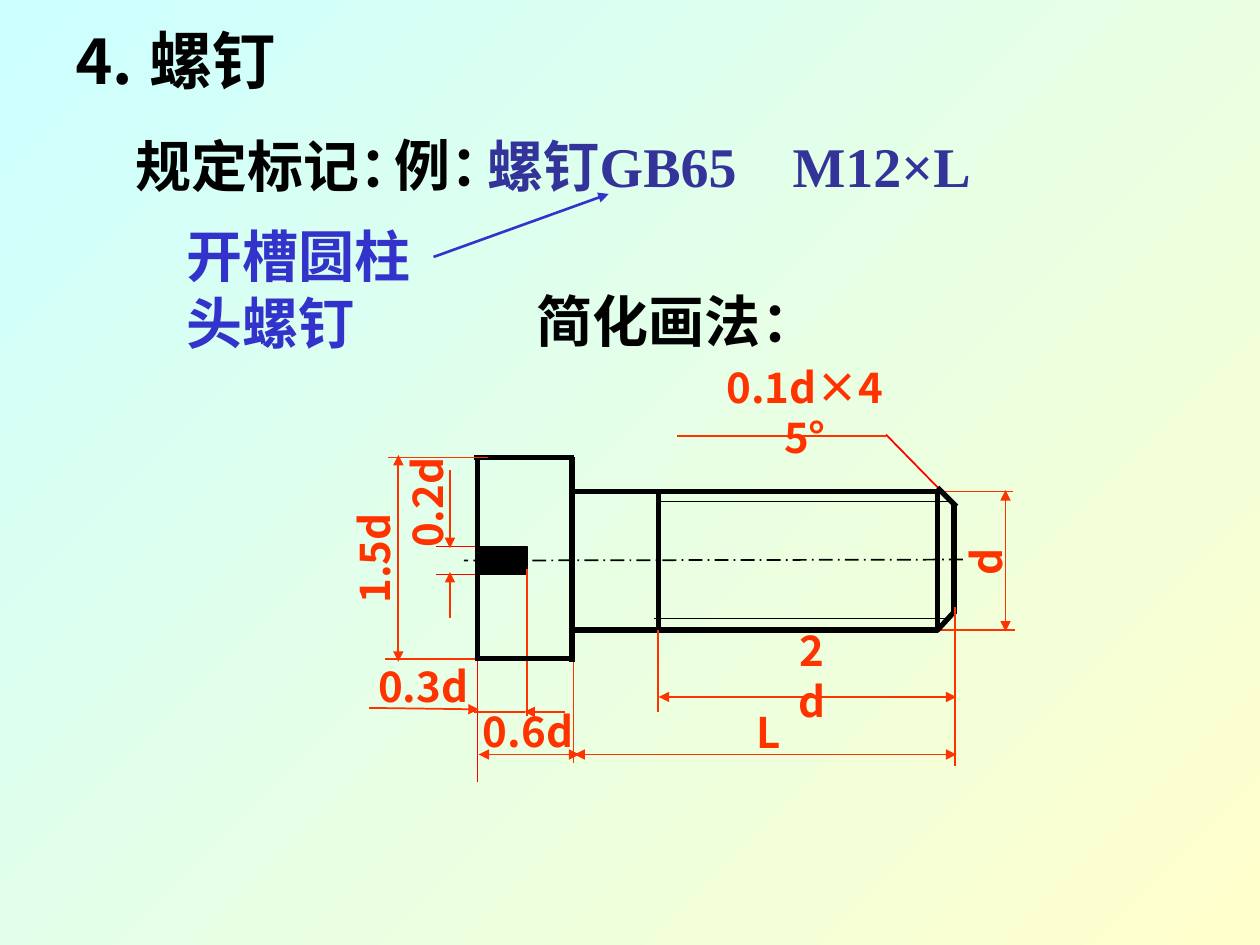
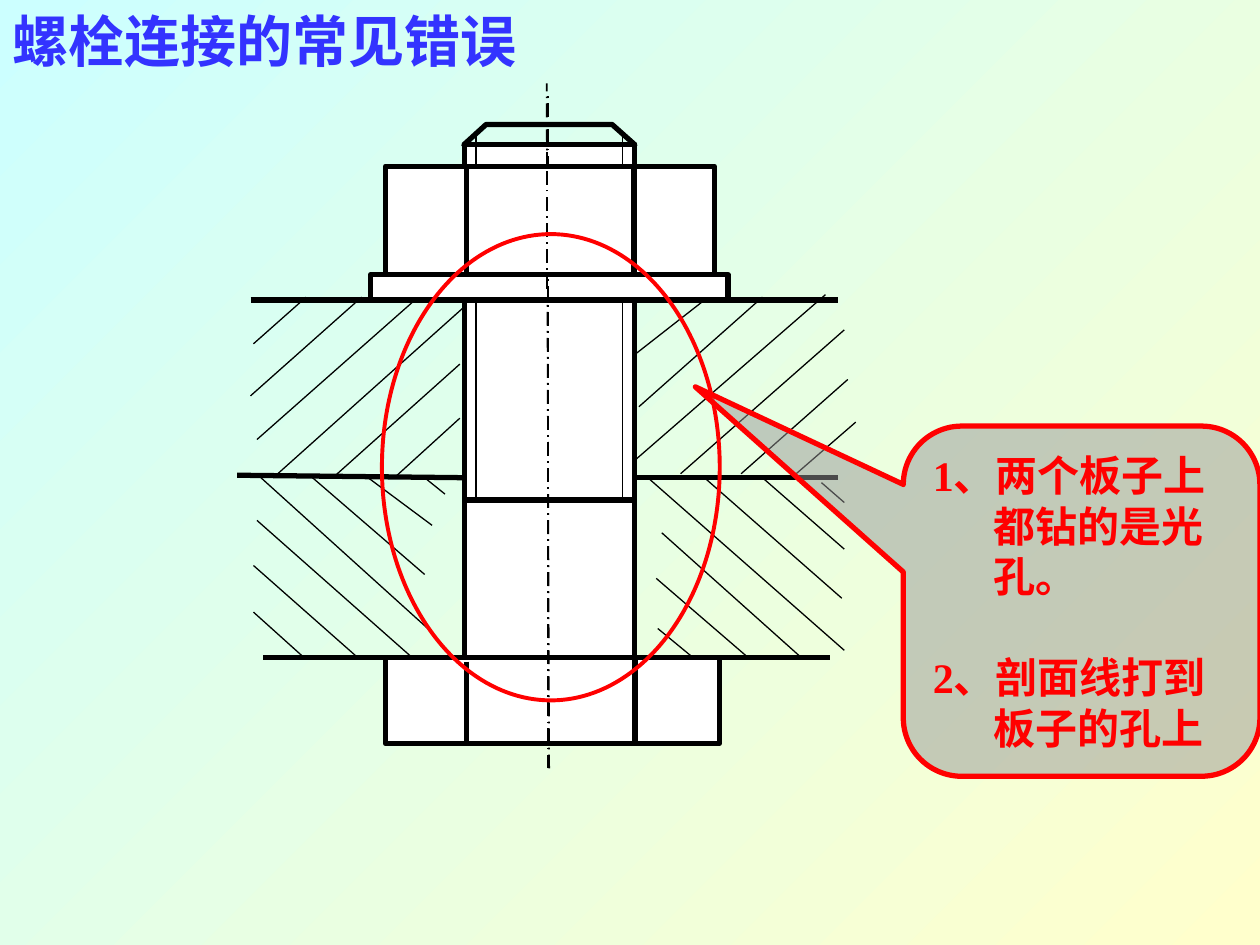
from lxml.etree import SubElement
from pptx import Presentation
from pptx.dml.color import RGBColor
from pptx.enum.dml import MSO_LINE
from pptx.enum.shapes import MSO_CONNECTOR, MSO_SHAPE as Shape
from pptx.enum.text import MSO_ANCHOR, MSO_AUTO_SIZE as Fit, PP_ALIGN as Align
from pptx.oxml.ns import qn
from pptx.util import Cm, Pt

SERIF, SANS = "Times New Roman", "Noto Sans CJK SC"
BLACK, WHITE, RED, DIM = "000000", "FFFFFF", "FF0000", "FF3300"
BACKGROUND = ("CCFFFF", "FFFFCC")

# Line styles: colour, width, dashed, arrow at start, arrow at end
LINES = {
    "thick": (BLACK, 3, False, False, False),
    "thin": (BLACK, 1, False, False, False),
    "hatch": (BLACK, 0.75, False, False, False),
    "axis": (BLACK, 1, True, False, False),
    "leader": (RED, 1, False, False, False),
    "fine": (RED, 0.75, False, False, False),
    "ext": (DIM, 1, False, False, False),
    "dim": (DIM, 1, False, True, True),
    "dim start": (DIM, 1, False, True, False),
    "dim end": (DIM, 1, False, False, True),
    "pointer": ("3333CC", 1.5, False, False, True),
}
# Box styles: preset, fill, line colour, line width
BOXES = {
    "body": (Shape.RECTANGLE, None, BLACK, 3),
    "part": (Shape.RECTANGLE, WHITE, BLACK, 3),
    "slot": (Shape.RECTANGLE, BLACK, BLACK, 1),
    "mark": (Shape.OVAL, None, RED, 2.25),
}

# Drawings are on a 10 x 7.5 grid, one unit being 2.54 cm.
# Lines: style, x1, y1, x2, y2.  Boxes: style, left, top, width, height.
SCREW = [
    ("leader", 7.57, 4, 7.03, 3.45),
    ("fine", 3.79, 4.56, 3.46, 4.56),
    ("fine", 3.79, 4.34, 3.46, 4.34),
    ("dim end", 3.57, 4.9, 3.57, 4.54),
    ("dim start", 3.57, 4.35, 3.57, 3.73),
    ("ext", 3.88, 5.23, 3.06, 5.23),
    ("dim", 3.16, 5.25, 3.16, 3.61),
    ("ext", 7.36, 5, 8.06, 5),
    ("ext", 7.43, 3.9, 8.04, 3.9),
    ("dim", 7.98, 5.01, 7.98, 3.89),
    ("thick", 5.23, 5, 5.23, 3.9),
    ("thin", 7.54, 4.91, 5.19, 4.91),
    ("thin", 7.54, 3.98, 5.22, 3.98),
    ("axis", 7.64, 4.44, 3.68, 4.45),
    ("slot", 3.79, 4.34, 0.39, 0.22),
    ("body", 4.54, 3.9, 2.9, 1.1),
    ("thick", 7.44, 5, 7.57, 4.86),
    ("thick", 7.57, 4.87, 7.57, 4),
    ("thick", 7.44, 3.87, 7.59, 4.02),
    ("ext", 4.18, 5.68, 4.18, 4.52),
    ("fine", 3.79, 6.21, 3.79, 5.15),
    ("ext", 4.55, 6.06, 4.55, 5.21),
    ("dim end", 2.93, 5.62, 3.8, 5.63),
    ("ext", 3.76, 5.65, 4.17, 5.65),
    ("dim", 3.8, 5.99, 4.6, 5.99),
    ("ext", 7.58, 6.08, 7.58, 4.82),
    ("dim", 4.56, 5.99, 7.59, 5.99),
    ("ext", 5.22, 5.65, 5.22, 5),
    ("dim", 5.23, 5.53, 7.59, 5.53),
    ("dim start", 4.16, 5.65, 4.48, 5.65),
    ("ext", 7.03, 3.46, 5.37, 3.46),
    ("thick", 4.54, 5.25, 4.54, 3.63),
    ("thick", 4.56, 3.63, 3.76, 3.63),
    ("thick", 4.54, 5.23, 3.77, 5.23),
    ("thick", 3.79, 5.23, 3.79, 3.63),
    ("ext", 3.87, 3.63, 3.08, 3.63),
    ("pointer", 3.44, 2.04, 4.83, 1.54),
]
# Dimension labels: text, left, top, width, rotation, wrap
DIM_LABELS = [
    ("0.2d", 2.91, 3.74, 0.95, 270, False),
    ("0.3d", 2.85, 5.19, 1.02, 0, False),
    ("1.5d", 2.23, 4.18, 1.47, 270, False),
    ("d", 7.62, 4.21, 0.41, 270, False),
    ("0.6d", 3.5, 5.55, 1.38, 0, False),
    ("L", 5.91, 5.56, 0.39, 0, False),
    ("2d", 6.14, 5.11, 0.6, 0, True),
    ("0.1d×45°", 5.59, 3.02, 1.6, 0, True),
]
# Headings: text, box, colour, alignment, wrap
HEADINGS = [
    ("规定标记：", (0.75, 0.99, 2.42, 0.64), BLACK, Align.CENTER, False),
    ("螺钉GB65\tM12×L", (3.77, 0.99, 4.3, 0.64), "333399", Align.LEFT, True),
    ("开槽圆柱头螺钉", (1.38, 1.71, 2.12, 1.17), "3333CC", Align.LEFT, True),
    ("简化画法：", (3.94, 2.22, 2.42, 0.64), BLACK, Align.CENTER, False),
    ("例：", (3.03, 0.98, 1.09, 0.64), BLACK, Align.CENTER, False),
]

PLATE_EDGES = [
    ("thick", 1.99, 2.38, 6.65, 2.38),
    ("thick", 2.09, 5.22, 6.59, 5.22),
    ("thick", 1.88, 3.77, 3.69, 3.79),
    ("thick", 5.04, 3.79, 6.65, 3.79),
]
HATCHING = [
    (2.01, 2.73, 2.43, 2.36), (1.99, 3.14, 2.87, 2.36),
    (2.04, 3.49, 3.32, 2.36), (2.17, 3.79, 3.67, 2.45),
    (2.64, 3.79, 3.65, 2.89), (3.13, 3.79, 3.65, 3.32),
    (5.03, 2.82, 5.59, 2.38), (5.07, 3.23, 6.05, 2.36),
    (5.02, 3.67, 6.55, 2.34), (5.4, 3.76, 6.7, 2.62),
    (5.88, 3.76, 6.73, 3.01), (6.32, 3.76, 6.79, 3.35),
    (3.37, 3.79, 3.53, 3.92), (2.92, 3.79, 3.43, 4.17),
    (2.48, 3.79, 3.37, 4.56), (2.07, 3.79, 3.42, 5.01),
    (2.04, 4.13, 3.26, 5.21), (2.01, 4.49, 2.82, 5.2),
    (2.01, 4.86, 2.4, 5.21), (5.14, 3.79, 6.7, 5.16),
    (5.25, 4.23, 6.37, 5.23), (5.21, 4.59, 5.95, 5.23),
    (5.22, 4.99, 5.51, 5.23), (5.59, 3.79, 6.68, 4.75),
    (6.05, 3.79, 6.7, 4.36), (6.52, 3.83, 6.7, 3.99),
]
CHAMFER = [(3.68, 1.15), (5.04, 1.15), (4.86, 0.99), (3.86, 0.99)]
BOLT = [
    ("part", 3.69, 1.15, 1.35, 4.07),
    ("part", 3.06, 5.22, 2.65, 0.68),
    ("thick", 3.68, 3.97, 5.04, 3.97),
    ("thin", 3.78, 3.97, 3.78, 1.06),
    ("thin", 4.94, 3.97, 4.94, 1.06),
    ("axis", 4.36, 6.1, 4.34, 0.66),
    ("thick", 3.7, 5.25, 3.7, 5.91),
    ("thick", 5.04, 5.22, 5.04, 5.91),
]
WASHER_AND_NUT = [
    ("part", 2.94, 2.18, 2.84, 0.2),
    ("axis", 4.35, 6.1, 4.35, 0.74),
    ("part", 3.06, 1.32, 2.61, 0.86),
    ("thick", 3.7, 2.18, 3.7, 1.32),
    ("thick", 5.03, 2.18, 5.03, 1.32),
    ("axis", 4.34, 2.29, 4.34, 1.21),
]
ERROR_MARK = [("mark", 3.03, 1.86, 2.68, 3.7)]
MISTAKES = [
    ("1、两个板子上", "都钻的是光", "孔。"),
    ("2、剖面线打到", "板子的孔上"),
]


def rgb(value):
    return RGBColor.from_string(value)


def grid(*values):
    """Turn grid units into lengths."""
    return [Cm(round(v * 2.54, 2)) for v in values]


def paint(sp, fill, color, width):
    sp.shadow.inherit = False
    if fill:
        sp.fill.solid()
        sp.fill.fore_color.rgb = rgb(fill)
    else:
        sp.fill.background()
    sp.line.color.rgb = rgb(color)
    sp.line.width = Pt(width)


def add_line(s, style, *ends):
    color, width, dashed, *arrows = LINES[style]
    c = s.shapes.add_connector(MSO_CONNECTOR.STRAIGHT, *grid(*ends))
    c.line.color.rgb = rgb(color)
    c.line.width = Pt(width)
    if dashed:
        c.line.dash_style = MSO_LINE.LONG_DASH_DOT
    sp_pr = c._element.spPr
    for tag, shown in zip(("a:headEnd", "a:tailEnd"), arrows):
        if shown:
            SubElement(sp_pr.find(qn("a:ln")), qn(tag), type="triangle")
    SubElement(sp_pr, qn("a:effectLst"))


def draw(s, parts):
    for style, *place in parts:
        if style in LINES:
            add_line(s, style, *place)
        else:
            preset, *look = BOXES[style]
            paint(s.shapes.add_shape(preset, *grid(*place)), *look)


def write(p, text, size, color, name=SERIF):
    r = p.add_run()
    r.text = text
    for key, value in {"size": Pt(size), "bold": True, "name": name}.items():
        setattr(r.font, key, value)
    r.font.color.rgb = rgb(color)
    SubElement(r._r.get_or_add_rPr(), qn("a:ea"), typeface=SANS)


def set_frame(tf, wrap, fit):
    margins = dict(zip(("margin_left", "margin_top", "margin_right", "margin_bottom"),
                       grid(0.1, 0.05, 0.1, 0.05)))
    settings = {"word_wrap": wrap, "auto_size": fit,
                "vertical_anchor": MSO_ANCHOR.MIDDLE, **margins}
    for key, value in settings.items():
        setattr(tf, key, value)


def add_text(s, text, box, size, color, align, wrap, name=SERIF):
    tb = s.shapes.add_textbox(*grid(*box))
    set_frame(tb.text_frame, wrap, Fit.SHAPE_TO_FIT_TEXT)
    p = tb.text_frame.paragraphs[0]
    p.alignment = align
    if "\t" in text:
        tabs = SubElement(p._p.get_or_add_pPr(), qn("a:tabLst"))
        SubElement(tabs, qn("a:tab"), pos=str(Cm(6.15)), algn="l")
    write(p, text, size, color, name)
    return tb


def add_titled_slide(prs, text, box, size, color, align):
    s = prs.slides.add_slide(prs.slide_layouts[5])
    title = s.shapes.title
    for key, value in zip(("left", "top", "width", "height"), grid(*box)):
        setattr(title, key, value)
    set_frame(title.text_frame, True, Fit.NONE)
    p = title.text_frame.paragraphs[0]
    p.alignment = align
    write(p, text, size, color)
    return s


def add_mistakes_callout(s):
    sp = s.shapes.add_shape(Shape.ROUNDED_RECTANGULAR_CALLOUT,
                            *grid(7.17, 3.38, 2.83, 2.78))
    for i, value in enumerate((-1.083, -0.612, 0.167)):
        sp.adjustments[i] = value
    paint(sp, "969696", RED, 3)
    gray = sp._element.spPr.find(qn("a:solidFill")).find(qn("a:srgbClr"))
    SubElement(gray, qn("a:alpha"), val="50000")
    tf = sp.text_frame
    set_frame(tf, True, Fit.NONE)
    for i, lines in enumerate(MISTAKES):
        p = tf.add_paragraph() if i else tf.paragraphs[0]
        p.alignment = Align.LEFT
        p.space_before = Pt(29 if i else 0)
        p_pr = p._p.get_or_add_pPr()
        p_pr.set("marL", str(Cm(1.22)))
        p_pr.set("indent", str(-Cm(1.22)))
        for j, line in enumerate(lines):
            if j:
                p.add_line_break()
            write(p, line, 24, RED)


def build_screw_slide(prs):
    s = add_titled_slide(prs, "⒋ 螺钉", (0.34, 0.12, 2.08, 0.7), 36, BLACK, Align.CENTER)
    draw(s, SCREW)
    for text, left, top, width, rotation, wrap in DIM_LABELS:
        tb = add_text(s, text, (left, top, width, 0.5), 24, DIM, Align.CENTER, wrap, SANS)
        tb.rotation = rotation
    for text, box, color, align, wrap in HEADINGS:
        add_text(s, text, box, 32, color, align, wrap)


def build_bolt_slide(prs):
    s = add_titled_slide(prs, "螺栓连接的常见错误", (0, 0, 5.19, 0.64), 32, "3333FF", Align.LEFT)
    draw(s, PLATE_EDGES)
    draw(s, [("hatch", *ends) for ends in HATCHING])
    start, *rest = [grid(*point) for point in CHAMFER]
    outline = s.shapes.build_freeform(*start)
    outline.add_line_segments(rest, close=True)
    paint(outline.convert_to_shape(), None, BLACK, 3)
    draw(s, BOLT + WASHER_AND_NUT + ERROR_MARK)
    add_mistakes_callout(s)


def main():
    prs = Presentation()
    prs.slide_width, prs.slide_height = Cm(25.4), Cm(19.05)
    fill = prs.slide_master.background.fill
    fill.gradient()
    fill.gradient_angle = 315
    for stop, color in zip(fill.gradient_stops, BACKGROUND):
        stop.color.rgb = rgb(color)
    build_screw_slide(prs)
    build_bolt_slide(prs)
    prs.save("out.pptx")


if __name__ == "__main__":
    main()
